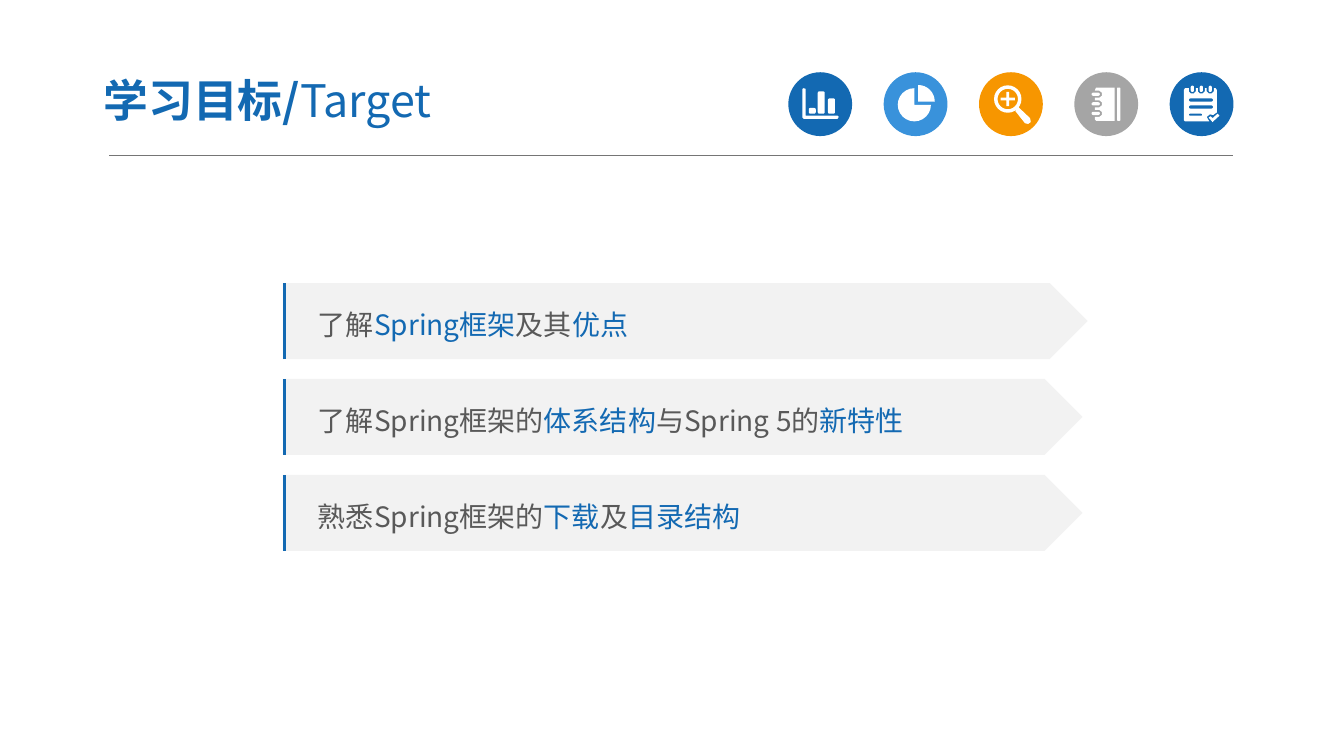
from math import cos, radians, sin

from lxml import etree
from pptx import Presentation
from pptx.dml.color import RGBColor
from pptx.enum.shapes import MSO_CONNECTOR, MSO_SHAPE
from pptx.enum.text import MSO_ANCHOR, MSO_AUTO_SIZE, PP_ALIGN
from pptx.oxml.ns import qn
from pptx.util import Inches, Pt

OVAL, ARROW_BAR = MSO_SHAPE.OVAL, MSO_SHAPE.PENTAGON
STRAIGHT = MSO_CONNECTOR.STRAIGHT
MIDDLE, LEFT, NO_FIT = MSO_ANCHOR.MIDDLE, PP_ALIGN.LEFT, MSO_AUTO_SIZE.NONE

FONT = "Noto Sans CJK SC"
BLUE, SKY, ORANGE, SILVER = "1369B2", "3992DB", "F79600", "A5A5A5"
WHITE, PALE, INK, RULE = "FFFFFF", "F2F2F2", "595959", "757575"
COLUMNS, ROWS = 160, 90


def color(hex_code):
    return RGBColor.from_string(hex_code)


def write(paragraph, text, size=20, fill=INK, bold=False):
    run = paragraph.add_run()
    run.text = text
    run.font.size = Pt(size)
    run.font.bold = bold
    run.font.name = FONT
    run.font.color.rgb = color(fill)
    etree.SubElement(run.font._element, qn("a:ea")).set("typeface", FONT)


class Deck:
    def __init__(self):
        self.file = Presentation()
        self.file.slide_width = Inches(13.33)
        self.file.slide_height = Inches(7.5)
        self.slide = self.file.slides.add_slide(self.file.slide_layouts[5])
        self.shapes = self.slide.shapes

    def x(self, columns):
        return round(self.file.slide_width * columns / COLUMNS)

    def y(self, rows):
        return round(self.file.slide_height * rows / ROWS)

    def area(self, left, top, width, height):
        return self.x(left), self.y(top), self.x(width), self.y(height)

    def group(self):
        return self.shapes.add_group_shape().shapes

    def finish(self, shape, fill):
        shape.shadow.inherit = False
        shape.fill.solid()
        shape.fill.fore_color.rgb = color(fill)
        shape.line.fill.background()
        return shape

    def shape(self, home, preset, area, fill):
        return self.finish(home.add_shape(preset, *self.area(*area)), fill)

    def outline(self, home, contours, fill, close=True):
        paths = [[(self.x(column), self.y(row)) for column, row in contour]
                 for contour in contours]
        builder = home.build_freeform(*paths[0][0])
        for index, (start, *rest) in enumerate(paths):
            if index:
                builder.move_to(*start)
            if rest:
                builder.add_line_segments(rest, close=close)
        return self.finish(builder.convert_to_shape(), fill)

    def rule(self, start, end, stroke, width):
        line = self.shapes.add_connector(
            STRAIGHT, self.x(start[0]), self.y(start[1]), self.x(end[0]), self.y(end[1]))
        line.line.color.rgb = color(stroke)
        line.line.width = Pt(width)
        etree.SubElement(line._element.spPr, qn("a:effectLst"))

    def title(self, area, strong, light):
        title = self.shapes.title
        title.left, title.top, title.width, title.height = self.area(*area)
        frame = title.text_frame
        frame.auto_size, frame.vertical_anchor, frame.word_wrap = NO_FIT, MIDDLE, True
        frame.margin_left = frame.margin_right = Inches(0.13)
        frame.margin_top = frame.margin_bottom = Inches(0.07)
        paragraph = frame.paragraphs[0]
        paragraph.alignment = LEFT
        write(paragraph, strong, size=32, fill=BLUE, bold=True)
        write(paragraph, light, size=32, fill=BLUE)

    def goal(self, area, phrases):
        left, top, _, height = area
        home = self.group()
        bar = self.shape(home, ARROW_BAR, area, PALE)
        bar.text_frame.vertical_anchor = MIDDLE
        paragraph = bar.text_frame.paragraphs[0]
        paragraph.alignment = LEFT
        paragraph.line_spacing = 1.2
        paragraph._p.get_or_add_pPr().set("marL", str(Inches(0.25)))
        for text, fill in phrases:
            write(paragraph, text, fill=fill)
        edge = left + 0.2
        stroke = [(edge, top + height), (edge, top)]
        accent = self.outline(home, [stroke, [(edge + 1.4, top)]], BLUE, close=False)
        accent.fill.background()
        accent.line.color.rgb = color(BLUE)
        accent.line.width = Pt(1.5)

    def badge(self, left, top, size, fill, contours):
        home = self.group()
        self.shape(home, OVAL, (left, top, size, size), fill)
        share = size / 100
        placed = [[(left + x * share, top + y * share) for x, y in contour]
                  for contour in contours]
        self.outline(home, placed, WHITE)


def arc(x, y, radius, start=0, sweep=360, steps=24):
    angles = [radians(start + sweep * step / steps) for step in range(steps + 1)]
    return [(x + radius * cos(angle), y + radius * sin(angle)) for angle in angles]


def block(x, y, width, height, radius=2.5):
    right, bottom = x + width - radius, y + height - radius
    corners = [(x + radius, y + radius, 180), (right, y + radius, 270),
               (right, bottom, 0), (x + radius, bottom, 90)]
    return [point for cx, cy, start in corners
            for point in arc(cx, cy, radius, start, 90, 3)]


bar_chart = [[(22, 26), (24, 25), (27, 26), (27, 68), (77, 68),
              (79, 70), (77, 73), (24, 73), (22, 71)]]
bar_chart += [block(x, 65 - height, 11, height)
              for x, height in ((32, 9), (46, 35), (62, 24))]

pie_chart = [[(48, 51)] + arc(48, 51, 26, 0, 270, 18),
             [(54, 46)] + arc(54, 46, 26, 270, 90, 8)]

magnifier = [arc(45, 42, 21.5), arc(45, 42, 16),
             [(62, 55), (80, 72), (81, 78), (77, 81), (72, 80), (57, 61)],
             [(43, 31), (47, 31), (47, 40), (56, 40), (56, 44), (47, 44),
              (47, 53), (43, 53), (43, 44), (34, 44), (34, 40), (43, 40)]]

rings = (29, 44, 59)
notebook_page = [(34, 24), (63, 24), (63, 76), (34, 76), (32, 74)]
for y in reversed(rings):
    notebook_page += [(32, y + 11), (39, y + 11), (43, y + 8),
                      (43, y + 3), (39, y), (32, y)]
notebook = [notebook_page, block(67, 24, 5, 52, 1)]
notebook += [block(27, y + 3, 13, 5) for y in rings]

list_page = [(22, 28), (24, 25)]
for x in (30, 44, 58):
    list_page += [(x, 25), (x, 30), (x + 3, 33), (x + 8, 33), (x + 11, 30), (x + 11, 25)]
list_page += [(72, 25), (74, 28), (74, 63), (68, 67), (63, 66), (58, 70),
              (62, 77), (24, 77), (22, 75)]
checklist = [list_page, [(61, 71), (64, 69), (67, 72), (75, 65), (78, 68), (67, 78)]]
checklist += [block(x + 3, 21, 5, 10) for x in (30, 44, 58)]
checklist += [block(30, y, width, height, height / 2)
              for y, width, height in ((41, 38, 5), (52, 38, 5), (65, 21, 3))]

badges = [(BLUE, bar_chart), (SKY, pie_chart), (ORANGE, magnifier),
          (SILVER, notebook), (BLUE, checklist)]
goals = [
    (95.8, [("了解", INK), ("Spring框架", BLUE), ("及其", INK), ("优点", BLUE)]),
    (95.2, [("了解Spring框架的", INK), ("体系结构", BLUE),
            ("与Spring 5的", INK), ("新特性", BLUE)]),
    (95.2, [("熟悉Spring框架的", INK), ("下载", BLUE), ("及", INK), ("目录结构", BLUE)]),
]

deck = Deck()
deck.title((10.75, 7.6, 62.6, 8.6), "学习目标/", "Target")
deck.rule((13, 18.55), (146.8, 18.55), RULE, 0.5)
for index, (fill, contours) in enumerate(badges):
    deck.badge(93.85 + index * 11.35, 8.6, 7.6, fill, contours)
for index, (width, phrases) in enumerate(goals):
    deck.goal((33.67, 33.7 + index * 11.42, width, 9.05), phrases)
deck.file.save("out.pptx")
